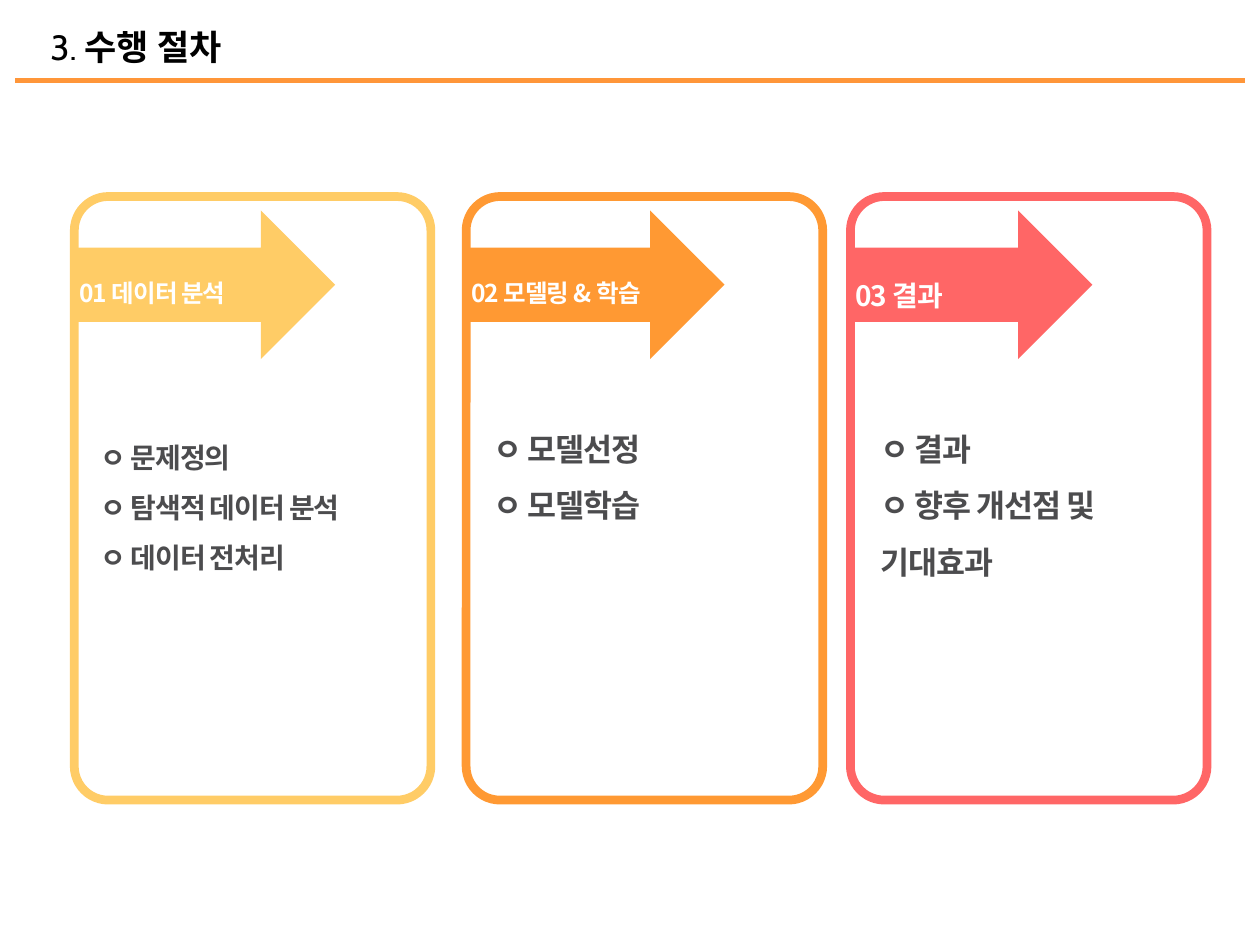
from dataclasses import dataclass

from lxml import etree
from pptx import Presentation
from pptx.dml.color import RGBColor
from pptx.enum import shapes, text
from pptx.oxml import ns
from pptx.slide import Slide
from pptx import util as u

PX = 9144


def px(length):
    return u.Emu(length * PX)


def color(value):
    return RGBColor.from_string(value)


@dataclass
class StepSlide:
    slide: Slide
    font: str = "Noto Sans CJK KR"
    number_font: str = "Cabin"
    ink: str = "4C4C4E"

    def place(self, shape, left, top, width, height):
        shape.left, shape.top = px(left), px(top)
        shape.width, shape.height = px(width), px(height)

    def prepare(self, shape, anchor, insets):
        frame = shape.text_frame
        frame.word_wrap = True
        frame.auto_size = text.MSO_AUTO_SIZE.SHAPE_TO_FIT_TEXT
        frame.vertical_anchor = anchor
        frame.margin_left, frame.margin_top, frame.margin_right, frame.margin_bottom = map(px, insets)
        return frame

    def style_font(self, font, size, fill, bold=True, name=None):
        font.name, font.size, font.bold = name or self.font, u.Pt(size), bold
        font.color.rgb = color(fill)
        latin = font._element.find(ns.qn("a:latin"))
        latin.addnext(etree.Element(ns.qn("a:ea"), typeface=self.font))

    def fill_text(self, frame, lines, size, fill):
        frame.text = "\n".join(lines)
        for paragraph in frame.paragraphs:
            paragraph.alignment = text.PP_ALIGN.LEFT
            paragraph.line_spacing = 1.5
            paragraph.space_before = u.Pt(0)
            self.style_font(paragraph.font, size, fill)
            properties = paragraph.font._element
            properties.set("spc", "-60")
            parent = properties.getparent()
            parent.set("marL", "0")
            parent.set("indent", "0")
            properties.addprevious(etree.Element(ns.qn("a:buNone")))

    def title(self, number, heading, box):
        shape = self.slide.shapes.title
        self.place(shape, *box)
        frame = self.prepare(shape, text.MSO_ANCHOR.TOP, (5, 5, 5, 5))
        paragraph = frame.paragraphs[0]
        paragraph.alignment = text.PP_ALIGN.LEFT
        for words, name, bold in ((number, self.number_font, False), (heading, self.font, True)):
            run = paragraph.add_run()
            run.text = words
            self.style_font(run.font, 20, "000000", bold, name)

    def rule(self, left, right, y, fill):
        line = self.slide.shapes.add_connector(
            shapes.MSO_CONNECTOR.STRAIGHT, px(left), px(y), px(right), px(y))
        line.line.color.rgb = color(fill)
        line.line.width = u.Pt(3)
        etree.SubElement(line._element.spPr, ns.qn("a:effectLst"))

    def arrow(self, left, width, fill):
        shape = self.slide.shapes.add_shape(
            shapes.MSO_SHAPE.RIGHT_ARROW, px(left), px(167), px(width), px(118))
        shape.shadow.inherit = False
        shape.fill.solid()
        shape.fill.fore_color.rgb = color(fill)
        shape.line.fill.background()

    def label(self, words, left, width, size):
        height = 25 if size == 14 else 28
        shape = self.slide.shapes.add_textbox(px(left), px(214), px(width), px(height))
        frame = self.prepare(shape, text.MSO_ANCHOR.MIDDLE, (4, 0, 0, 0))
        self.fill_text(frame, [words], size, "FFFFFF")

    def frame(self, left, fill):
        shape = self.slide.shapes.add_shape(
            shapes.MSO_SHAPE.ROUNDED_RECTANGLE, px(left), px(156), px(283), px(479))
        shape.adjustments[0] = 0.095
        shape.shadow.inherit = False
        shape.fill.background()
        shape.line.color.rgb = color(fill)
        shape.line.width = u.Pt(5)

    def body(self, placeholder, lines, box, size, anchor, inset):
        self.place(placeholder, *box)
        frame = self.prepare(placeholder, anchor, [inset] * 4)
        self.fill_text(frame, lines, size, self.ink)


def main():
    presentation = Presentation()
    presentation.slide_width, presentation.slide_height = px(1000), px(750)
    slide = presentation.slides.add_slide(presentation.slide_layouts[4])
    steps = StepSlide(slide)
    steps.title("3. ", "수행 절차", (35, 15, 1014, 46))
    steps.rule(12, 988, 64, "FF9639")

    top, middle = text.MSO_ANCHOR.TOP, text.MSO_ANCHOR.MIDDLE
    columns = [
        ("01 데이터 분석", 59, 207, 14, "FFCC66",
         ["ㅇ 문제정의", "ㅇ 탐색적 데이터 분석", "ㅇ 데이터 전처리"],
         (75, 315, 251, 162), 16, middle, 5),
        ("02 모델링 & 학습", 370, 205, 14, "FF9933",
         ["ㅇ 모델선정", "ㅇ 모델학습"],
         (392, 326, 195, 81), 18, top, 0),
        ("03 결과", 675, 192, 16, "FF6666",
         ["ㅇ 결과", "ㅇ 향후 개선점 및 기대효과"],
         (699, 326, 230, 126), 18, top, 0),
    ]
    bodies = list(slide.placeholders)[1:]
    for column, placeholder in zip(columns, bodies):
        heading, left, width, label_size, fill, *content = column
        steps.arrow(left, width, fill)
        steps.label(heading, left, width - 29, label_size)
        steps.frame(left, fill)
        steps.body(placeholder, *content)
    for placeholder in bodies[len(columns):]:
        placeholder._element.getparent().remove(placeholder._element)

    presentation.save("out.pptx")


if __name__ == "__main__":
    main()
